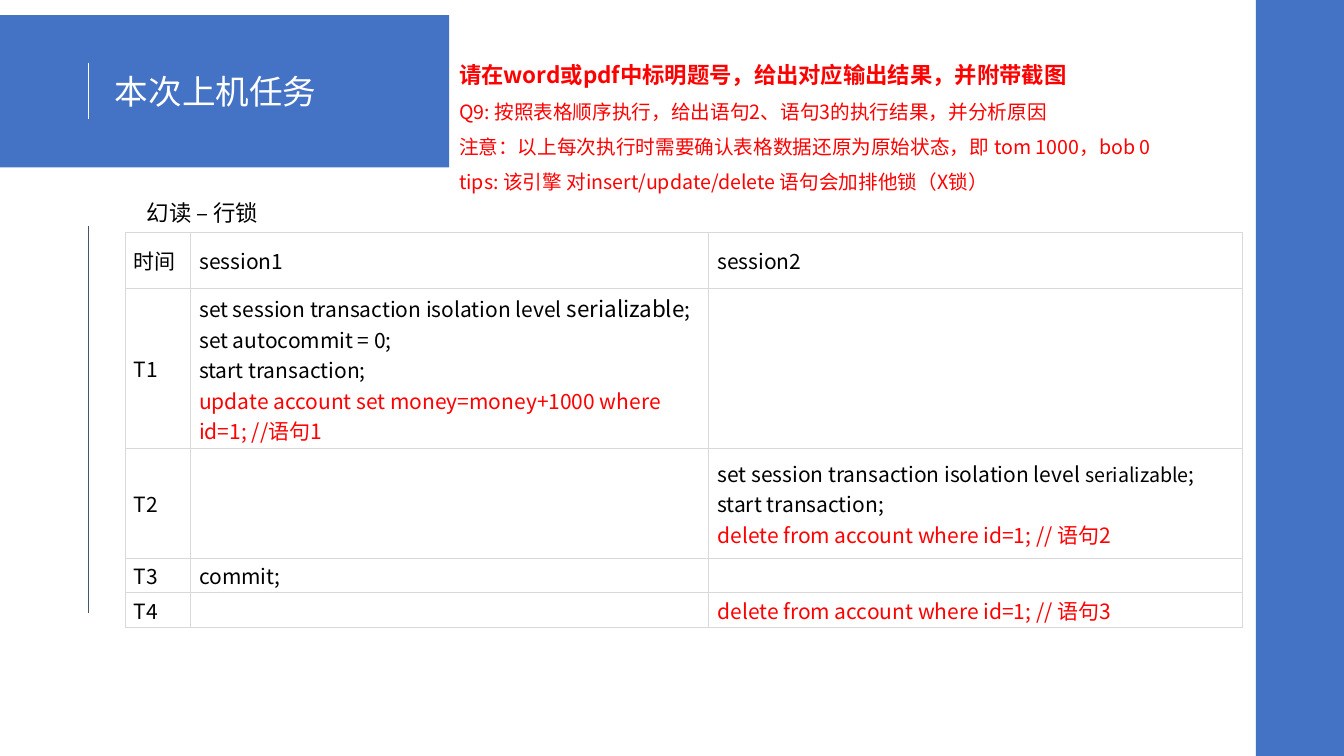
"""Builds the lab task slide on phantom reads and row locks."""
from lxml.etree import SubElement
from pptx import Presentation
from pptx.dml.color import RGBColor
from pptx.enum.shapes import MSO_CONNECTOR as CONN, MSO_SHAPE as SHAPE
from pptx.enum.text import MSO_ANCHOR as ANCHOR, MSO_AUTO_SIZE as AUTO, PP_ALIGN as ALIGN
from pptx.oxml import parse_xml
from pptx.oxml.ns import nsdecls, qn
from pptx.util import Cm, Pt

FONT = "Noto Sans CJK SC"
BLUE = RGBColor(0x44, 0x72, 0xC4)
SLATE = RGBColor(0x44, 0x54, 0x6A)
GREY = RGBColor(0xD9, 0xD9, 0xD9)
RED = RGBColor(0xFF, 0, 0)
BLACK = RGBColor(0, 0, 0)
WHITE = RGBColor(0xFF, 0xFF, 0xFF)

TASKS = [
    "请在word或pdf中标明题号，给出对应输出结果，并附带截图",
    "Q9: 按照表格顺序执行，给出语句2、语句3的执行结果，并分析原因",
    "注意：以上每次执行时需要确认表格数据还原为原始状态，即 tom 1000，bob 0",
    "tips: 该引擎 对insert/update/delete 语句会加排他锁（X锁）",
]
COLUMNS = [1.65, 13.06, 13.45]
ROWS = [1.42, 4.04, 2.77, 0.86, 0.86]
LEVEL = "set session transaction isolation level "
START = "start transaction;"
SCHEDULE = [
    [["时间"], ["session1"], ["session2"]],
    [["T1"],
     [[(LEVEL, 15), ("serializable", 16), (";", 15)], "set autocommit = 0;", START,
      "update account set money=money+1000 where id=1; //语句1"], []],
    [["T2"], [],
     [[(LEVEL, 15), ("serializable", 14), (";", 15)], START,
      "delete from account where id=1; // 语句2"]],
    [["T3"], ["commit;"], []],
    [["T4"], [], ["delete from account where id=1; // 语句3"]],
]


def add_run(p, text, size, color, bold=False):
    r = p.add_run()
    r.text = text
    r.font.size, r.font.bold, r.font.name = Pt(size), bold, FONT
    r.font.color.rgb = color
    SubElement(r.font._element, qn("a:ea")).set("typeface", FONT)


def add_block(s, left, top, width, height):
    sp = s.shapes.add_shape(SHAPE.RECTANGLE, Cm(left), Cm(top), Cm(width), Cm(height))
    sp.shadow.inherit = False
    sp.fill.solid()
    sp.fill.fore_color.rgb = BLUE
    sp.line.fill.background()


def add_rule(s, x, top, bottom, color):
    line = s.shapes.add_connector(CONN.STRAIGHT, Cm(x), Cm(top), Cm(x), Cm(bottom))
    line.line.color.rgb = color
    line.line.width = Pt(0.5)
    SubElement(line._element.spPr, qn("a:effectLst"))


def place_title(s, text):
    sp = s.shapes.title
    s.shapes._spTree.append(sp._element)
    sp.left, sp.top, sp.width, sp.height = Cm(2.64), Cm(1.65), Cm(5.87), Cm(1.27)
    tf = sp.text_frame
    tf.auto_size, tf.word_wrap = AUTO.NONE, False
    tf.vertical_anchor = ANCHOR.MIDDLE
    p = tf.paragraphs[0]
    p.alignment = ALIGN.LEFT
    add_run(p, text, 24, WHITE)


def add_text(s, left, top, width, height):
    tf = s.shapes.add_textbox(Cm(left), Cm(top), Cm(width), Cm(height)).text_frame
    tf.word_wrap = True
    return tf


def add_tasks(s):
    tf = add_text(s, 11.32, 1.08, 21.21, 3.89)
    for i, task in enumerate(TASKS):
        p = tf.add_paragraph() if i else tf.paragraphs[0]
        p.line_spacing = 1.5
        add_run(p, task, 14 if i else 16, RED, bold=i == 0)


def set_borders(cell):
    tc_pr = cell._tc.get_or_add_tcPr()
    for i, side in enumerate(("lnL", "lnR", "lnT", "lnB")):
        tc_pr.insert(i, parse_xml(
            f'<a:{side} {nsdecls("a")} w="{Pt(0.75)}"><a:solidFill>'
            f'<a:srgbClr val="{GREY}"/></a:solidFill></a:{side}>'))


def fill_cell(cell, lines):
    cell.fill.background()
    set_borders(cell)
    cell.vertical_anchor = ANCHOR.MIDDLE
    cell.margin_left = cell.margin_right = Cm(0.22)
    cell.margin_top = cell.margin_bottom = Cm(0.04)
    tf = cell.text_frame
    if not lines:
        SubElement(tf.paragraphs[0]._p, qn("a:endParaRPr")).set("sz", "1500")
    for i, line in enumerate(lines):
        p = tf.add_paragraph() if i else tf.paragraphs[0]
        parts = [(line, 15)] if isinstance(line, str) else line
        for text, size in parts:
            add_run(p, text, size, RED if "//" in text else BLACK)


def add_schedule(s):
    table = s.shapes.add_table(len(ROWS), len(COLUMNS), Cm(3.15), Cm(5.85),
                               Cm(sum(COLUMNS)), Cm(sum(ROWS))).table
    table.first_row = table.horz_banding = False
    for column, width in zip(table.columns, COLUMNS):
        column.width = Cm(width)
    for row, height, contents in zip(table.rows, ROWS, SCHEDULE):
        row.height = Cm(height)
        for cell, lines in zip(row.cells, contents):
            fill_cell(cell, lines)


def main():
    prs = Presentation()
    prs.slide_width, prs.slide_height = Cm(33.87), Cm(19.05)
    s = prs.slides.add_slide(prs.slide_layouts[5])
    add_block(s, 0, 0.38, 11.32, 3.84)
    place_title(s, "本次上机任务")
    add_rule(s, 2.22, 1.58, 3, WHITE)
    add_rule(s, 2.22, 5.69, 15.44, SLATE)
    add_block(s, 31.65, 0, 2.22, 19.05)
    caption = add_text(s, 3.45, 4.89, 25.78, 0.94)
    add_run(caption.paragraphs[0], "幻读 – 行锁", 16, BLACK)
    add_tasks(s)
    add_schedule(s)
    prs.save("out.pptx")


if __name__ == "__main__":
    main()
